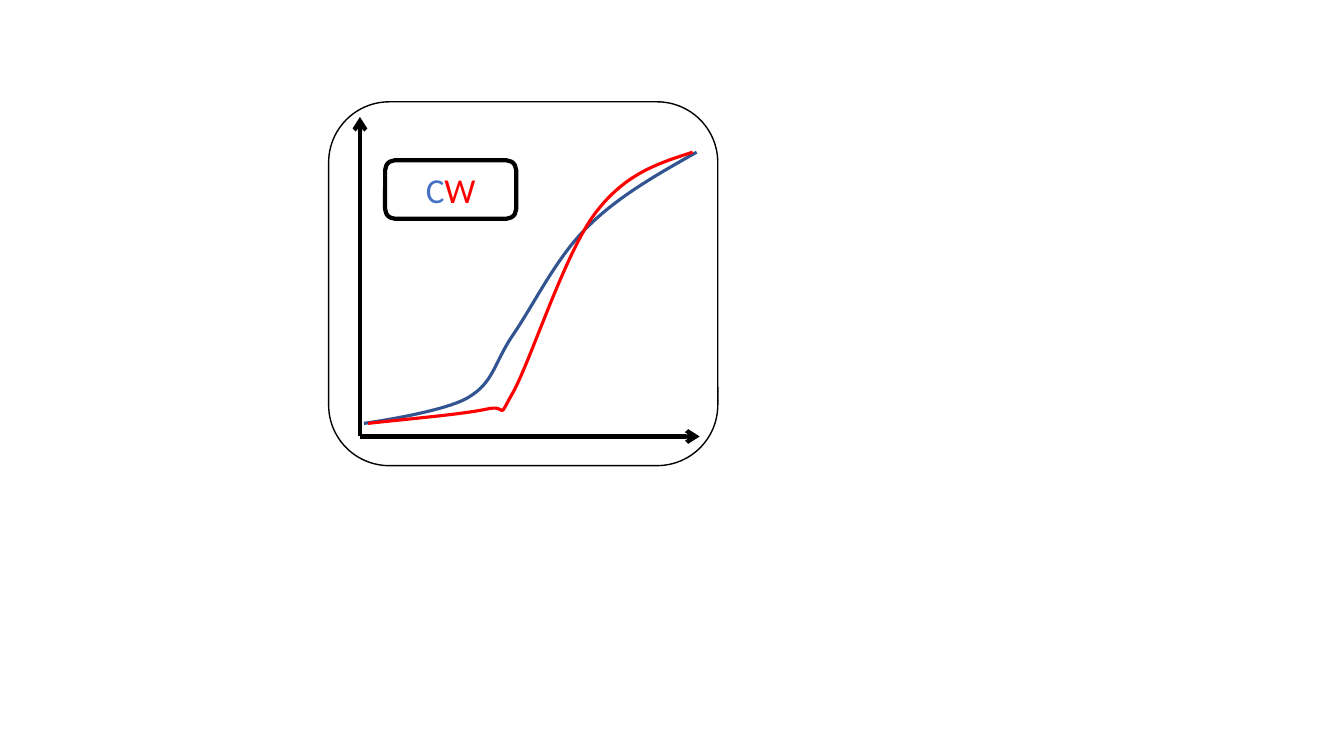
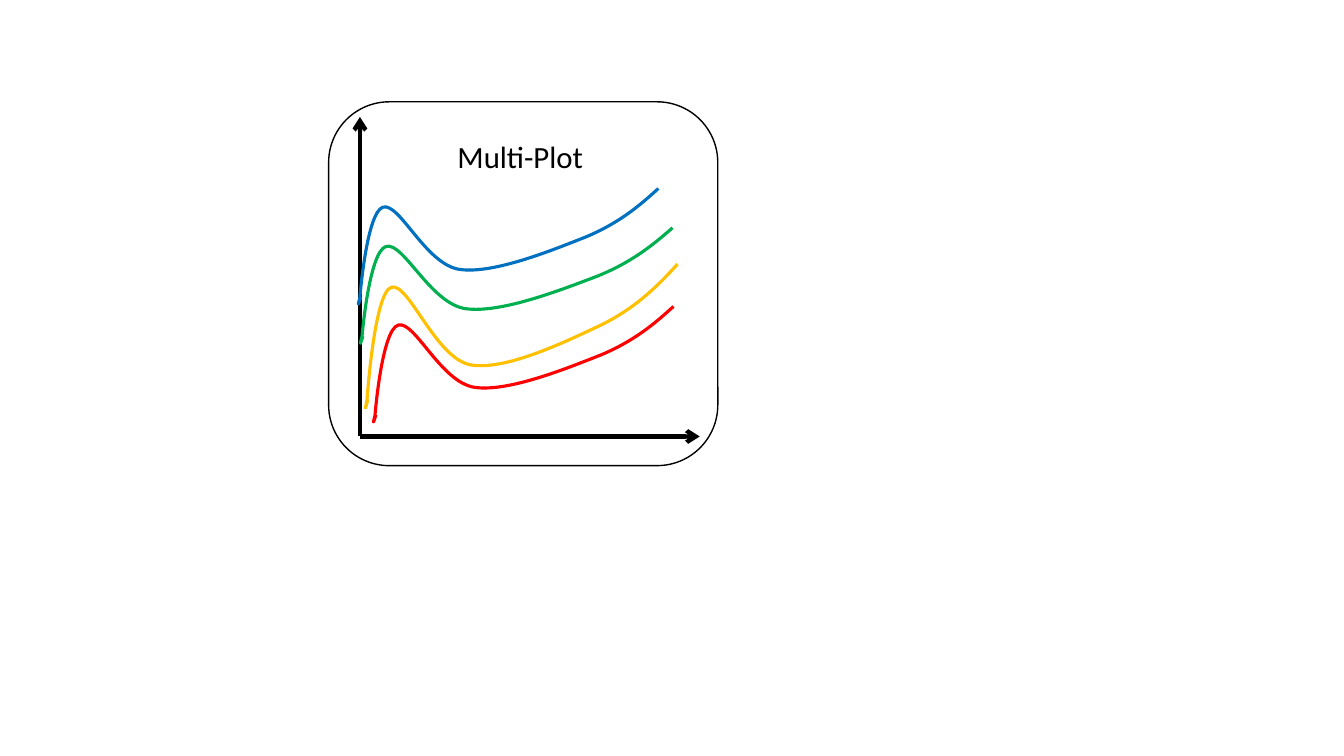
from lxml.etree import SubElement
from pptx import Presentation
from pptx.dml.color import RGBColor
from pptx.enum.shapes import MSO_CONNECTOR, MSO_SHAPE
from pptx.enum.text import MSO_ANCHOR, MSO_AUTO_SIZE, PP_ALIGN
from pptx.oxml.ns import qn
from pptx.util import Inches, Pt

COLOURS = {
    "ink": "000000", "paper": "FFFFFF", "c_letter": "4472C4", "c_curve": "325491",
    "red": "FF0000", "amber": "FFC000", "green": "00B050", "blue": "0070C0",
}
FONT = "Calibri"
CELL = Inches(0.01)
COLUMNS, ROWS = 1333, 750
CARD = (326, 101, 386, 361)
ORIGIN = (357, 433)
AXIS_TIPS = [(357, 116), (694, 433)]
LABEL = (382, 159, 130, 58)
TITLE = (420, 132, 192, 47)

CW_CURVES = [
    ("c_curve", [(691, 151), (652, 173), (613, 195), (583, 225), (552, 255),
                 (529, 303), (509, 332), (490, 360), (490, 379), (465, 394),
                 (441, 409), (361, 420), (361, 420)]),
    ("red", [(687, 151), (653, 162), (620, 172), (590, 212), (560, 252),
             (527, 356), (509, 389), (491, 421), (506, 400), (482, 406),
             (458, 411), (411, 415), (365, 420)]),
]

WAVE_WIDTH, WAVE_HEIGHT = 310, 142
WAVE = [(310, 0), (290, 22), (269, 43), (235, 60), (201, 76), (140, 106),
        (105, 100), (70, 94), (43, 17), (26, 23), (9, 29), (2, 135),
        (2, 135), (-2, 153), (3, 134), (3, 134)]
PLOTS = [
    ("red", 370, 304, 298, 114),
    ("amber", 362, 262, 310, 142),
    ("green", 357, 226, 310, 114),
    ("blue", 355, 187, 298, 114),
]


def draw_curve(slide, knots, colour):
    points = [(round(x * CELL), round(y * CELL)) for x, y in knots]
    anchors = points[::3]
    builder = slide.shapes.build_freeform(*anchors[0], scale=1.0)
    builder.add_line_segments(anchors[1:], close=False)
    curve = builder.convert_to_shape()
    outline = curve._element.find(".//" + qn("a:path"))
    for straight in outline.findall(qn("a:lnTo")):
        outline.remove(straight)
    for start in range(1, len(points), 3):
        bend = SubElement(outline, qn("a:cubicBezTo"))
        for x, y in points[start:start + 3]:
            SubElement(bend, qn("a:pt"), x=str(x - curve.left), y=str(y - curve.top))
    curve.shadow.inherit = False
    curve.fill.background()
    curve.line.color.rgb = RGBColor.from_string(COLOURS[colour])
    curve.line.width = Pt(2.25)


def write_runs(frame, runs, size):
    paragraph = frame.paragraphs[0]
    paragraph.alignment = PP_ALIGN.CENTER
    for text, colour in runs:
        run = paragraph.add_run()
        run.text = text
        run.font.name = FONT
        run.font.size = Pt(size)
        run.font.color.rgb = RGBColor.from_string(COLOURS[colour])


deck = Presentation()
deck.slide_width, deck.slide_height = COLUMNS * CELL, ROWS * CELL
title_only, blank = deck.slide_layouts[5], deck.slide_layouts[6]
cw_slide = deck.slides.add_slide(blank)
multi_slide = deck.slides.add_slide(title_only)

for slide in (cw_slide, multi_slide):
    card = slide.shapes.add_shape(
        MSO_SHAPE.ROUNDED_RECTANGLE, *(side * CELL for side in CARD))
    card.shadow.inherit = False
    card.fill.solid()
    card.fill.fore_color.rgb = RGBColor.from_string(COLOURS["paper"])
    card.line.color.rgb = RGBColor.from_string(COLOURS["ink"])
    card.line.width = Pt(1)
    for tip in AXIS_TIPS:
        axis = slide.shapes.add_connector(
            MSO_CONNECTOR.STRAIGHT, *(side * CELL for side in ORIGIN + tip))
        axis.line.color.rgb = RGBColor.from_string(COLOURS["ink"])
        axis.line.width = Pt(3)
        SubElement(axis.line._get_or_add_ln(), qn("a:tailEnd"), type="arrow")
        SubElement(axis._element.spPr, qn("a:effectLst"))

for colour, knots in CW_CURVES:
    draw_curve(cw_slide, knots, colour)

label = cw_slide.shapes.add_shape(
    MSO_SHAPE.ROUNDED_RECTANGLE, *(side * CELL for side in LABEL))
label.shadow.inherit = False
label.fill.background()
label.line.color.rgb = RGBColor.from_string(COLOURS["ink"])
label.line.width = Pt(3)
label.text_frame.vertical_anchor = MSO_ANCHOR.MIDDLE
write_runs(label.text_frame, [("C", "c_letter"), ("W", "red")], 25)

for colour, left, top, width, height in PLOTS:
    draw_curve(multi_slide, [
        (left + x * width / WAVE_WIDTH, top + y * height / WAVE_HEIGHT)
        for x, y in WAVE], colour)

title = multi_slide.shapes.title
title.left, title.top, title.width, title.height = (side * CELL for side in TITLE)
title.text_frame.word_wrap = True
title.text_frame.auto_size = MSO_AUTO_SIZE.SHAPE_TO_FIT_TEXT
title.text_frame.vertical_anchor = MSO_ANCHOR.TOP
write_runs(title.text_frame, [("Multi-Plot", "ink")], 22)
multi_slide.shapes._spTree.append(title._element)

deck.save("out.pptx")
